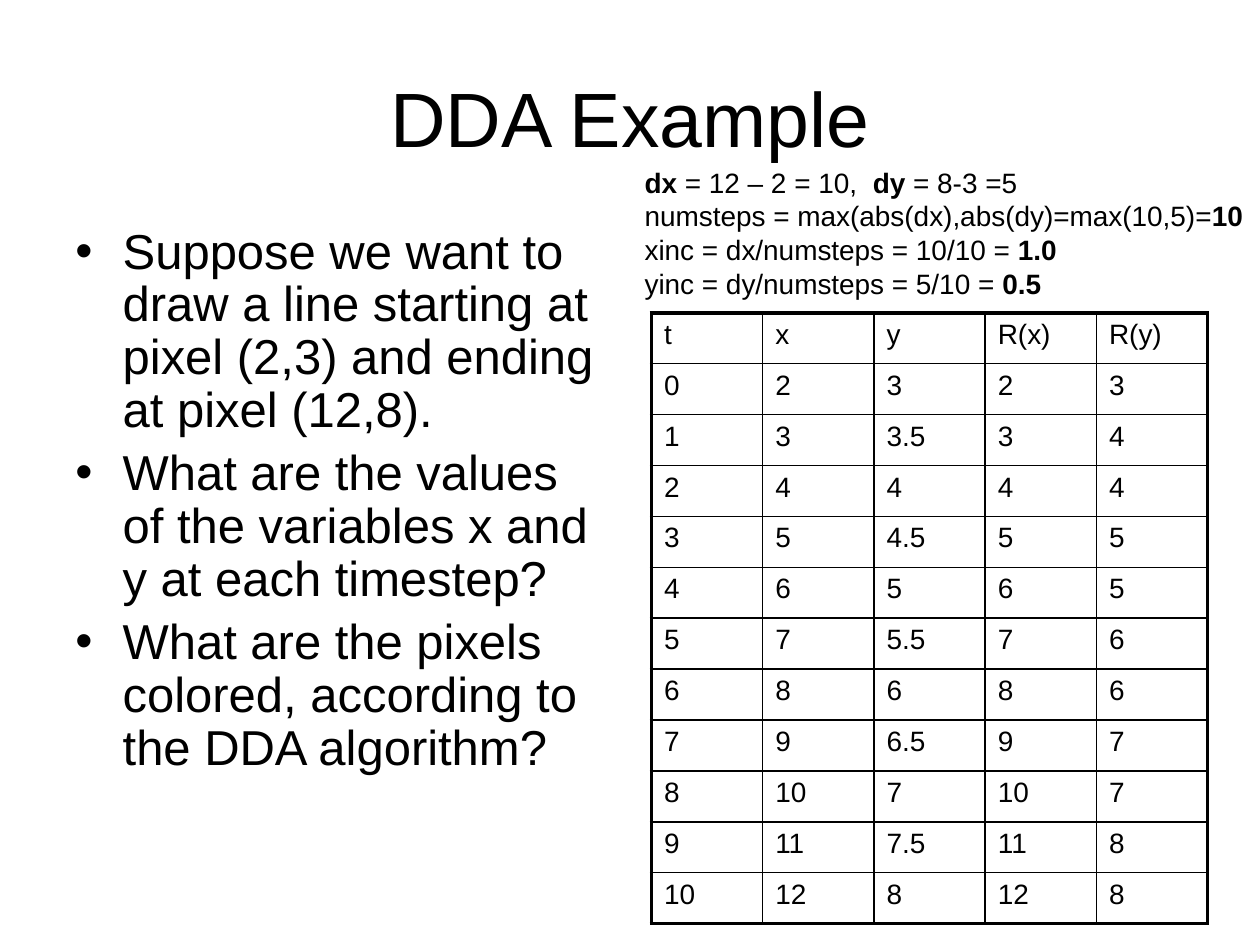
from lxml import etree
from pptx import Presentation
from pptx import util as u
from pptx.dml.color import RGBColor
from pptx.enum import text
from pptx.oxml import ns

COLORS = {"ink": "000000", "paper": "FFFFFF"}


def add_text(p, content, size=16, bold=False, font="Arial", color="ink"):
    r = p.add_run()
    r.text = content
    r.font.size = u.Pt(size)
    r.font.bold = bold
    r.font.name = font
    r.font.color.rgb = RGBColor.from_string(COLORS[color])
    return r


class Deck:
    """Holds the style and the current slide, and adds elements to it."""

    thin, thick = 0.96, 2.21

    def __init__(self, width, height):
        self.prs = Presentation()
        self.prs.slide_width, self.prs.slide_height = u.Pt(width), u.Pt(height)
        self.s = self.prs.slides.add_slide(self.prs.slide_layouts[6])
        fill = self.s.background.fill
        fill.solid()
        fill.fore_color.rgb = RGBColor.from_string(COLORS["paper"])

    def box(self, left, top, width, height, wrap=True):
        sp = self.s.shapes.add_textbox(*map(u.Pt, (left, top, width, height)))
        sp.text_frame.word_wrap = wrap
        return sp.text_frame

    def paragraphs(self, tf, items):
        for i, item in enumerate(items):
            yield (tf.add_paragraph() if i else tf.paragraphs[0]), item

    def title(self, content, *at):
        tf = self.box(*at)
        tf.vertical_anchor = text.MSO_ANCHOR.MIDDLE
        p = tf.paragraphs[0]
        p.alignment = text.PP_ALIGN.CENTER
        add_text(p, content, size=44)

    def bullets(self, items, *at, indent=27):
        for p, item in self.paragraphs(self.box(*at), items):
            p.line_spacing = 0.9
            p.space_before = u.Pt(5.6)
            pPr = p._p.get_or_add_pPr()
            pPr.set("marL", str(u.Pt(indent)))
            pPr.set("indent", str(-u.Pt(indent)))
            etree.SubElement(pPr, ns.qn("a:buFont"), typeface="Arial")
            etree.SubElement(pPr, ns.qn("a:buChar"), char="•")
            add_text(p, item, size=28)

    def formulas(self, lines, *at):
        tf = self.box(*at, wrap=False)
        tf.auto_size = text.MSO_AUTO_SIZE.SHAPE_TO_FIT_TEXT
        for p, line in self.paragraphs(tf, lines):
            p.alignment = text.PP_ALIGN.LEFT
            for content, bold in line:
                add_text(p, content, bold=bold)

    def border(self, cell, side, width):
        tcPr = cell._tc.get_or_add_tcPr()
        ln = etree.SubElement(tcPr, ns.qn(f"a:ln{side}"), w=str(u.Pt(width)))
        fill = etree.SubElement(ln, ns.qn("a:solidFill"))
        etree.SubElement(fill, ns.qn("a:srgbClr"), val=COLORS["ink"])

    def table(self, rows, left, top, col_width, row_height):
        n, m = len(rows), len(rows[0])
        size = (left, top, col_width * m, row_height * n)
        tbl = self.s.shapes.add_table(n, m, *map(u.Pt, size)).table
        tbl.first_row = tbl.horz_banding = False
        for col in tbl.columns:
            col.width = u.Pt(col_width)
        for i, row in enumerate(rows):
            tbl.rows[i].height = u.Pt(row_height)
            for j, value in enumerate(row):
                cell = tbl.cell(i, j)
                p = cell.text_frame.paragraphs[0]
                p.space_before = u.Pt(3.2)
                add_text(p, value)
                outer = {"L": j == 0, "R": j == m - 1, "T": i == 0, "B": i == n - 1}
                for side, edge in outer.items():
                    self.border(cell, side, self.thick if edge else self.thin)
                cell.fill.background()


def dda_rows(x, y, xinc, yinc, steps):
    rows = [["t", "x", "y", "R(x)", "R(y)"]]
    for t in range(steps + 1):
        xt, yt = x + t * xinc, y + t * yinc
        values = (t, xt, yt, int(xt + 0.5), int(yt + 0.5))
        rows.append([f"{v:g}" for v in values])
    return rows


def main():
    deck = Deck(720, 540)
    deck.title("DDA Example", 36, 21.6, 648, 90)
    deck.bullets([
        "Suppose we want to draw a line starting at pixel (2,3) and ending at pixel (12,8).",
        "What are the values of the variables x and y at each timestep?",
        "What are the pixels colored, according to the DDA algorithm?",
    ], 36, 126, 317.5, 324)
    deck.formulas([
        [("dx", True), (" = 12 – 2 = 10,  ", False), ("dy", True), (" = 8-3 =5", False)],
        [("numsteps = max(abs(dx),abs(dy)=max(10,5)=", False), ("10", True)],
        [("xinc = dx/numsteps = 10/10 = ", False), ("1.0", True)],
        [("yinc = dy/numsteps = 5/10 = ", False), ("0.5", True)],
    ], 361.25, 91, 358.5, 81)
    deck.table(dda_rows(2, 3, 1.0, 0.5, 10), 372.25, 178.75, 63.6, 29.1)
    deck.prs.save("out.pptx")


if __name__ == "__main__":
    main()
